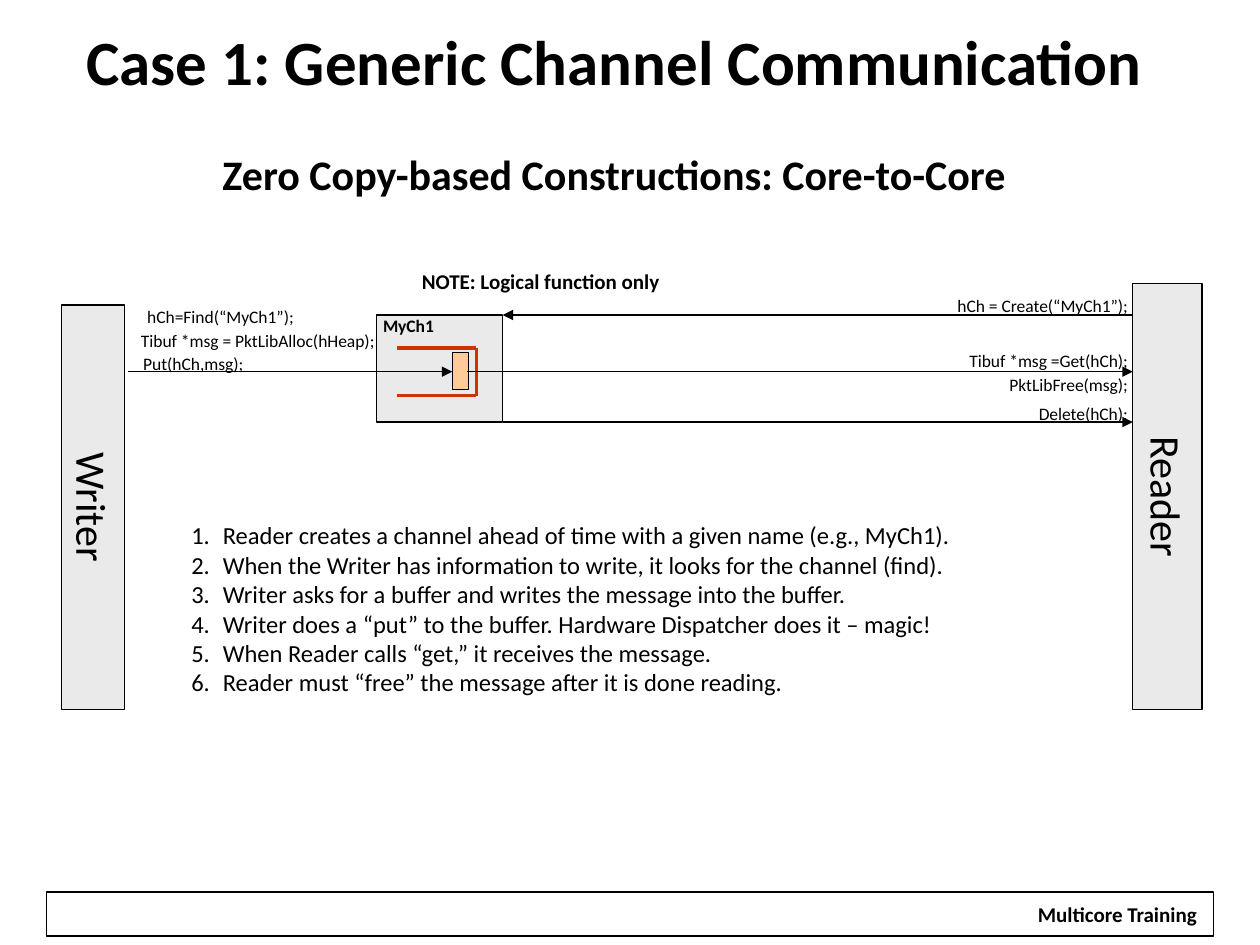
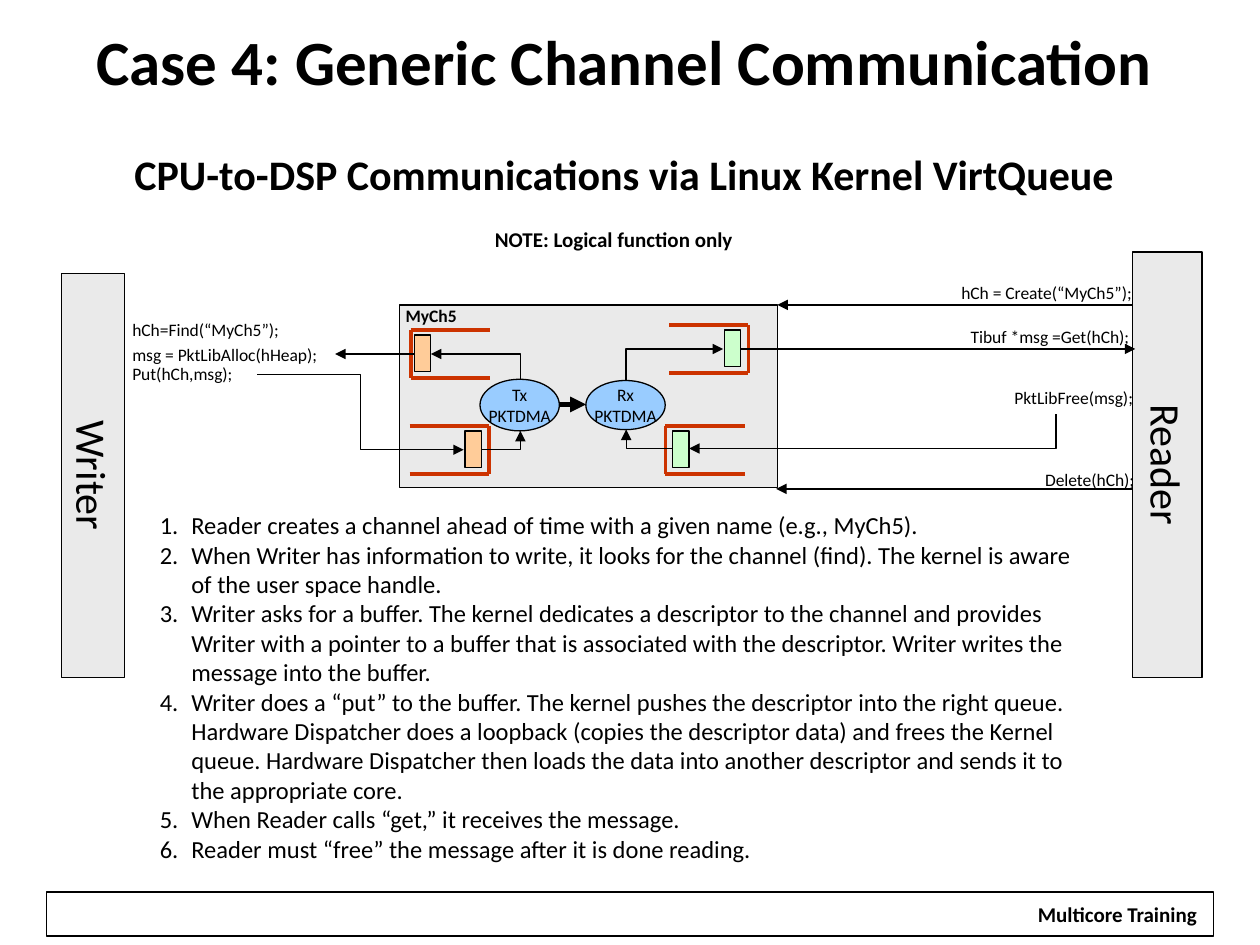
import collections

import pptx
import pptx.dml.color
import pptx.enum.shapes
import pptx.enum.text
import pptx.oxml
import pptx.oxml.ns
import pptx.util

PX = 9144
FONT = "Calibri"
BLACK, WHITE, GREY = "000000", "FFFFFF", "EAEAEA"
QUEUE_RED, ORANGE, GREEN, BLUE = "CC3300", "FFCC99", "CCFFCC", "99CCFF"
SHAPE = pptx.enum.shapes.MSO_SHAPE
CONNECTOR = pptx.enum.shapes.MSO_CONNECTOR
ALIGN = pptx.enum.text.PP_ALIGN
ANCHOR = pptx.enum.text.MSO_ANCHOR
qn = pptx.oxml.ns.qn

Box = collections.namedtuple("Box", "left top")


def px(n):
    """Turn layout pixels, 100 to the inch, into EMU."""
    return pptx.util.Emu(round(n * PX))


def rgb(color):
    """Return the colour for a hex string."""
    return pptx.dml.color.RGBColor.from_string(color)


def write(sp, lines, size=10, bold=False, align=ALIGN.LEFT, anchor=ANCHOR.TOP,
          margins=(10, 5, 10, 5), wrap=True, numbered=False, vertical=False):
    """Fill a shape with one formatted paragraph per line."""
    tf = sp.text_frame
    tf.auto_size = pptx.enum.text.MSO_AUTO_SIZE.NONE
    tf.word_wrap = wrap
    tf.vertical_anchor = anchor
    tf.margin_left, tf.margin_top, tf.margin_right, tf.margin_bottom = map(px, margins)
    if vertical:
        sp.element.find(".//" + qn("a:bodyPr")).set("vert", "vert")
    for i, line in enumerate(lines):
        p = tf.add_paragraph() if i else tf.paragraphs[0]
        p.alignment = align
        if numbered:
            pPr = p._p.get_or_add_pPr()
            pPr.set("marL", str(px(25)))
            pPr.set("indent", str(px(-25)))
            pPr.append(pptx.oxml.parse_xml(
                '<a:buAutoNum %s type="arabicPeriod"/>' % pptx.oxml.ns.nsdecls("a")))
        r = p.add_run()
        r.text = line
        r.font.name, r.font.size, r.font.bold = FONT, pptx.util.Pt(size), bold
        r.font.color.rgb = rgb(BLACK)
    return tf


def add_shape(s, box, x, y, w, h, fill=GREY, kind=SHAPE.RECTANGLE):
    """Add a filled shape with a thin black outline."""
    sp = s.shapes.add_shape(kind, px(box.left + x), px(box.top + y), px(w), px(h))
    sp.shadow.inherit = False
    sp.fill.solid()
    sp.fill.fore_color.rgb = rgb(fill)
    sp.line.color.rgb = rgb(BLACK)
    sp.line.width = pptx.util.Pt(0.75)
    return sp


def add_text(s, box, x, y, w, h, lines, **fmt):
    """Add a text box."""
    sp = s.shapes.add_textbox(px(box.left + x), px(box.top + y), px(w), px(h))
    write(sp, lines, **fmt)


def add_line(s, box, start, end, color=BLACK, width=0.75, kind=CONNECTOR.STRAIGHT, arrow=None):
    """Add a connector, with an arrowhead when arrow names headEnd or tailEnd."""
    (x1, y1), (x2, y2) = start, end
    cx = s.shapes.add_connector(kind, px(box.left + x1), px(box.top + y1),
                                px(box.left + x2), px(box.top + y2))
    cx.line.color.rgb = rgb(color)
    cx.line.width = pptx.util.Pt(width)
    if arrow:
        cx.line._get_or_add_ln().append(pptx.oxml.parse_xml(
            '<a:%s %s type="triangle"/>' % (arrow, pptx.oxml.ns.nsdecls("a"))))
    cx.element.spPr.append(pptx.oxml.parse_xml(
        "<a:effectLst %s/>" % pptx.oxml.ns.nsdecls("a")))
    return cx


def add_arrow(s, box, start, end, **fmt):
    """Add an arrow that points at end."""
    add_line(s, box, start, end, arrow="tailEnd", **fmt)


def add_corner(s, box, start, end, vertical_first=False):
    """Add an arrow with one right-angled turn."""
    if vertical_first:
        start, end = end, start
    cx = add_line(s, box, start, end, kind=CONNECTOR.ELBOW,
                  arrow="headEnd" if vertical_first else "tailEnd")
    cx.element.spPr.find(qn("a:prstGeom")).set("prst", "bentConnector2")


def add_queue(s, box, x, y, fill, closed="right", inset=6):
    """Draw a queue bracket holding one message next to its closed side."""
    w, h, msg_w, msg_h = 63, 38, 13, 29
    wall = x + w if closed == "right" else x
    msg_x = wall - inset - msg_w if closed == "right" else wall + inset
    add_shape(s, box, msg_x, y + 4, msg_w, msg_h, fill)
    for start, end in (((x, y), (x + w, y)), ((x, y + h), (x + w, y + h)),
                       ((wall, y), (wall, y + h))):
        add_line(s, box, start, end, QUEUE_RED, 2)


def add_channel(s, box, x, y, w, h, name):
    """Draw the named channel panel."""
    write(add_shape(s, box, x, y, w, h), [name], bold=True, margins=(5, 0, 5, 0), wrap=False)


def add_calls(s, box, calls):
    """Place right-aligned call labels given as text, right edge, top and width."""
    for call, right, y, w in calls:
        add_text(s, box, right - w, y, w, 27, [call], align=ALIGN.RIGHT)


def add_endpoints(s, box):
    """Draw the Writer and Reader bars at the two sides of the diagram."""
    for name, x, y, w, h in (("Writer", 0, 17, 50, 321), ("Reader", 850, 0, 55, 338)):
        write(add_shape(s, box, x, y, w, h), [name], size=24, align=ALIGN.CENTER,
              anchor=ANCHOR.MIDDLE, margins=(0, 0, 0, 0), wrap=False, vertical=True)


def add_note(s, box, x, y):
    """Add the note above the diagram."""
    add_text(s, box, x, y, 217, 30, ["NOTE: Logical function only"], size=12, bold=True)


def add_steps(s, box, x, y, w, h, steps):
    """Add the numbered explanation."""
    add_text(s, box, x, y, w, h, steps, size=14, numbered=True)


def add_footer(s, box):
    """Draw the footer frame and its caption."""
    write(add_shape(s, box, 0, 0, 926, 35, WHITE), ["Multicore Training"], size=12, bold=True,
          align=ALIGN.RIGHT, anchor=ANCHOR.MIDDLE, margins=(10, 5, 13, 5))


def start_slide(prs, left, title, subtitle):
    """Add a slide with its two-line title and footer."""
    s = prs.slides.add_slide(prs.slide_layouts[5])
    sp = s.shapes.title
    sp.left, sp.top, sp.width, sp.height = px(left), px(0), px(925), px(176)
    tf = write(sp, [title, subtitle], size=36, bold=True, align=ALIGN.CENTER,
               anchor=ANCHOR.MIDDLE)
    tf.paragraphs[1].space_before = pptx.util.Pt(29)
    tf.paragraphs[1].runs[0].font.size = pptx.util.Pt(24)
    add_footer(s, Box(37, 708))
    return s


def core_to_core(s, box):
    """Draw the zero-copy channel between two cores."""
    add_endpoints(s, box)
    add_channel(s, box, 250, 25, 100, 85, "MyCh1")
    add_queue(s, box, 266, 51, ORANGE)
    for start, end in (((53, 70), (310, 70)), ((322, 70), (850, 70)),
                       ((850, 25), (350, 25)), ((350, 110), (850, 110))):
        add_arrow(s, box, start, end)
    add_calls(s, box, (
        ("hCh=Find(“MyCh1”);", 194, 13, 167),
        ("Tibuf *msg = PktLibAlloc(hHeap);", 258, 32, 233),
        ("Put(hCh,msg);", 154, 50, 125),
        ("hCh = Create(“MyCh1”);", 856, 4, 184),
        ("Tibuf *msg =Get(hCh);", 856, 48, 175),
        ("PktLibFree(msg);", 856, 67, 142),
        ("Delete(hCh);", 856, 90, 102)))
    add_note(s, box, 276, -17)
    add_steps(s, box, 93, 183, 700, 151, (
        "Reader creates a channel ahead of time with a given name (e.g., MyCh1).",
        "When the Writer has information to write, it looks for the channel (find).",
        "Writer asks for a buffer and writes the message into the buffer.",
        "Writer does a “put” to the buffer. Hardware Dispatcher does it – magic!",
        "When Reader calls “get,” it receives the message.",
        "Reader must “free” the message after it is done reading."))


def cpu_to_dsp(s, box):
    """Draw the channel that passes through the Tx and Rx packet DMAs."""
    add_endpoints(s, box)
    add_channel(s, box, 268, 42, 300, 145, "MyCh5")
    add_queue(s, box, 277, 62, ORANGE, "left", 3)
    add_queue(s, box, 276, 138, ORANGE)
    add_queue(s, box, 482, 58, GREEN)
    add_queue(s, box, 479, 138, GREEN, "left")
    for name, x, y, h in (("Tx", 332, 101, 41), ("Rx", 416, 102, 39)):
        write(add_shape(s, box, x, y, 63, h, BLUE, SHAPE.OVAL), [name, "PKTDMA"],
              align=ALIGN.CENTER, anchor=ANCHOR.MIDDLE, wrap=False)
    for start, end in (((850, 42), (568, 42)), ((850, 188), (567, 188)),
                       ((539, 77), (852, 77)), ((280, 81), (217, 81))):
        add_arrow(s, box, start, end)
    add_arrow(s, box, (395, 121), (416, 121), width=3)
    add_arrow(s, box, (155, 97), (319, 157), kind=CONNECTOR.ELBOW)
    for start, end, vertical_first in (((333, 157), (364, 142), False),
                                       ((364, 101), (293, 81), True),
                                       ((485, 156), (448, 141), False),
                                       ((448, 102), (525, 77), True),
                                       ((789, 129), (498, 156), True)):
        add_corner(s, box, start, end, vertical_first)
    for call, y in (("hCh=Find(“MyCh5”);", 48), ("msg = PktLibAlloc(hHeap);", 68),
                    ("Put(hCh,msg);", 83)):
        add_text(s, box, 51, y, 167, 27, [call], anchor=ANCHOR.MIDDLE, margins=(5, 5, 5, 5))
    add_calls(s, box, (
        ("hCh = Create(“MyCh5”);", 859, 19, 184),
        ("Tibuf *msg =Get(hCh);", 857, 54, 175),
        ("PktLibFree(msg);", 860, 102, 142),
        ("Delete(hCh);", 861, 167, 102)))
    add_note(s, box, 334, -25)
    add_steps(s, box, 68, 200, 758, 293, (
        "Reader creates a channel ahead of time with a given name (e.g., MyCh5).",
        "When Writer has information to write, it looks for the channel (find). "
        "The kernel is aware of the user space handle.",
        "Writer asks for a buffer. The kernel dedicates a descriptor to the channel and "
        "provides Writer with a pointer to a buffer that is associated with the descriptor. "
        "Writer writes the message into the buffer.",
        "Writer does a “put” to the buffer. The kernel pushes the descriptor into the right "
        "queue. Hardware Dispatcher does a loopback (copies the descriptor data) and frees "
        "the Kernel queue. Hardware Dispatcher then loads the data into another descriptor "
        "and sends it to the appropriate core.",
        "When Reader calls “get,” it receives the message.",
        "Reader must “free” the message after it is done reading."))


def main():
    """Build and save the two slides."""
    prs = pptx.Presentation()
    prs.slide_width, prs.slide_height = px(1000), px(750)
    title = "Case %d: Generic Channel Communication"
    core_to_core(start_slide(prs, 25, title % 1, "Zero Copy-based Constructions: Core-to-Core"),
                 Box(49, 225))
    cpu_to_dsp(start_slide(prs, 33, title % 4,
                           "CPU-to-DSP Communications via Linux Kernel VirtQueue"),
               Box(49, 200))
    prs.save("out.pptx")


if __name__ == "__main__":
    main()
